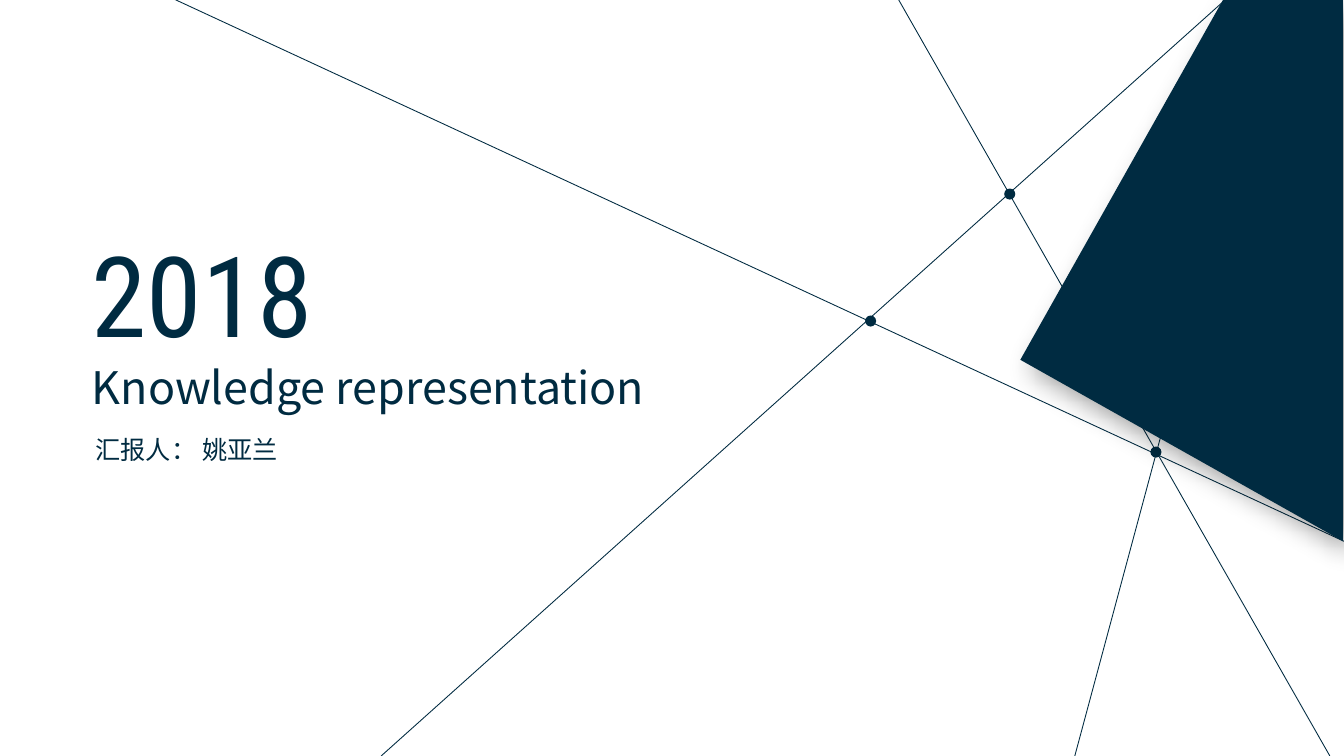
from lxml import etree
from pptx import Presentation
from pptx.dml.color import RGBColor
from pptx.enum.shapes import MSO_CONNECTOR, MSO_SHAPE
from pptx.enum.text import MSO_ANCHOR, MSO_AUTO_SIZE, PP_ALIGN
from pptx.oxml import parse_xml
from pptx.oxml.ns import nsdecls, qn
from pptx.util import Inches, Pt

STRAIGHT, OVAL = MSO_CONNECTOR.STRAIGHT, MSO_SHAPE.OVAL
TOP, LEFT, NO_FIT = MSO_ANCHOR.TOP, PP_ALIGN.LEFT, MSO_AUTO_SIZE.NONE
TITLE_ONLY = 5
NAVY = "002B41"
SANS, CONDENSED = "Noto Sans CJK SC", "Roboto Condensed"
DOT = 0.11
LINES = [
    ((3.78, 7.5), (12.15, 0)),
    ((8.8, -0.2), (13.19, 7.5)),
    ((1.66, -0.04), (13.33, 5.37)),
    ((10.66, 7.5), (12.73, -0.2)),
]
DOTS = [(9.96, 1.87), (11.41, 4.43), (8.58, 3.13)]


def color(value):
    """Turn a hex string into a colour."""
    return RGBColor.from_string(value)


def place(shape, box):
    """Move and size a shape to a box in inches."""
    for name, value in zip(("left", "top", "width", "height"), box):
        setattr(shape, name, Inches(value))


def write(shape, rows):
    """Fill a shape with rows of text, font, size and line spacing."""
    frame = shape.text_frame
    settings = {"word_wrap": True, "auto_size": NO_FIT, "vertical_anchor": TOP}
    for name, value in settings.items():
        setattr(frame, name, value)
    for index, (text, font, size, spacing) in enumerate(rows):
        para = frame.add_paragraph() if index else frame.paragraphs[0]
        formats = {"alignment": LEFT, "line_spacing": spacing,
                   "space_before": Pt(0), "space_after": Pt(0)}
        for name, value in formats.items():
            setattr(para, name, value)
        span = para.add_run()
        span.text = text
        for name, value in {"name": font, "size": Pt(size)}.items():
            setattr(span.font, name, value)
        span.font.color.rgb = color(NAVY)
        east = etree.SubElement(span.font._element, qn("a:ea"))
        east.set("typeface", font)


def add_text(page, box, rows):
    """Add a text box."""
    shape = page.shapes.add_textbox(*map(Inches, box))
    write(shape, rows)


def paint(shape):
    """Give a shape a plain navy fill."""
    shape.shadow.inherit = False
    shape.fill.solid()
    shape.fill.fore_color.rgb = color(NAVY)
    shape.line.fill.background()


def add_network(page, lines, dots):
    """Draw the thin lines and the dots where they cross."""
    for start, end in lines:
        line = page.shapes.add_connector(STRAIGHT, *map(Inches, start + end))
        line.line.color.rgb = color(NAVY)
        line.line.width = Pt(0.63)
        etree.SubElement(line._element.spPr, qn("a:effectLst"))
    for left, top in dots:
        dot = page.shapes.add_shape(OVAL, *map(Inches, (left, top, DOT, DOT)))
        paint(dot)


def add_panel(page, box):
    """Draw the tilted corner panel with its soft shadow."""
    left, top, width, height = box
    right, bottom = left + width, top + height
    points = [(right, top), (right, bottom), (left, top + 3.57)]
    points = [(Inches(x), Inches(y)) for x, y in points]
    builder = page.shapes.build_freeform(Inches(left + 2.01), Inches(top), scale=1.0)
    builder.add_line_segments(points, close=True)
    panel = builder.convert_to_shape()
    paint(panel)
    effects = panel._element.spPr.find(qn("a:effectLst"))
    effects.append(parse_xml(
        f'<a:outerShdw {nsdecls("a")} blurRad="{Pt(20)}" dist="{Pt(10)}" '
        'dir="2700000" algn="tl" rotWithShape="0"><a:srgbClr val="000000">'
        '<a:alpha val="40000"/></a:srgbClr></a:outerShdw>'))


def build_cover(page):
    """Lay out the cover slide."""
    place(page.shapes.title, (0.81, 2.19, 8.52, 1.98))
    write(page.shapes.title, [
        ("2018", CONDENSED, 80, 1.0),
        ("Knowledge representation", SANS, 32, 1.0),
    ])
    add_network(page, LINES, DOTS)
    add_panel(page, (10.12, 0, 3.2, 5.37))
    add_text(page, (0.85, 4.17, 4.93, 0.49), [("汇报人： 姚亚兰", SANS, 18, 1.3)])


def main():
    """Build and save the deck."""
    deck = Presentation()
    deck.slide_width, deck.slide_height = Inches(13.33), Inches(7.5)
    page = deck.slides.add_slide(deck.slide_layouts[TITLE_ONLY])
    build_cover(page)
    deck.save("out.pptx")


if __name__ == "__main__":
    main()
